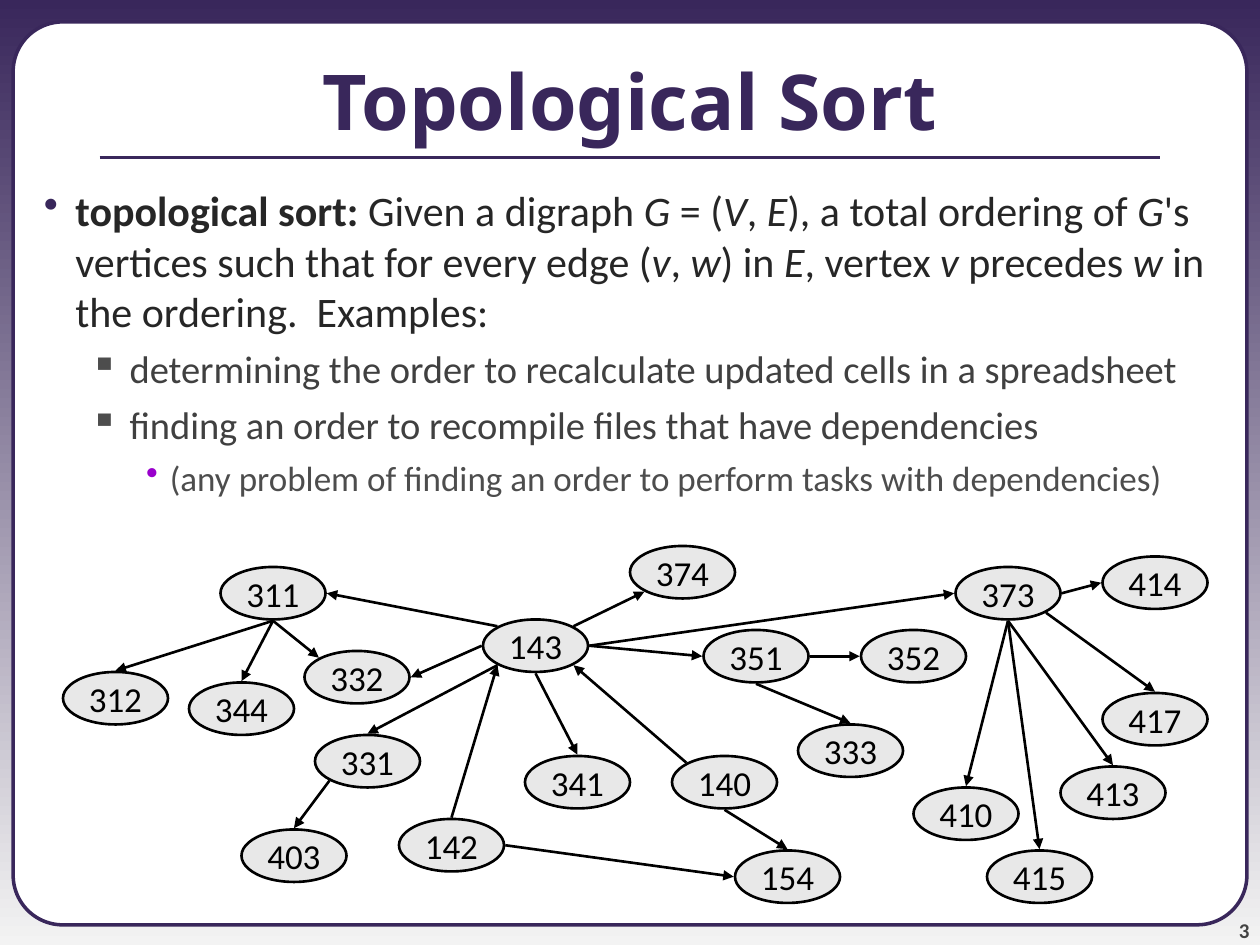
import pptx
import pptx.util
import pptx.dml.color
import pptx.enum.shapes
import pptx.enum.text
import pptx.oxml.ns
from lxml import etree

Pt = pptx.util.Pt
SHAPE = pptx.enum.shapes.MSO_SHAPE
LINE = pptx.enum.shapes.MSO_CONNECTOR.STRAIGHT
ALIGN = pptx.enum.text.PP_ALIGN
ANCHOR = pptx.enum.text.MSO_ANCHOR

COLORS = {
    "plum": "39275B", "mist": "F3F3F3", "white": "FFFFFF", "black": "000000",
    "node": "E8E8E8", "body": "262626", "sub": "404040", "deep": "4D4D4D",
    "violet": "9900CC", "page": "424242",
}

TITLE = "Topological Sort"
PAGE = "3"

# Runs are (text, style), where style is "b", "i" or "".
DEFINE = [
    ("topological sort:", "b"), (" Given a digraph ", ""), ("G", "i"),
    (" = (", ""), ("V", "i"), (", ", ""), ("E", "i"),
    ("), a total ordering of ", ""), ("G", "i"),
    ("'s vertices such that for every edge (", ""), ("v", "i"), (", ", ""),
    ("w", "i"), (") in ", ""), ("E", "i"), (", vertex ", ""), ("v", "i"),
    (" precedes ", ""), ("w", "i"), (" in the ordering.  Examples:", ""),
]
BODY = [
    (0, DEFINE),
    (1, "determining the order to recalculate updated cells in a spreadsheet"),
    (1, "finding an order to recompile files that have dependencies"),
    (2, "(any problem of finding an order to perform tasks with dependencies)"),
]
LEVELS = [
    dict(size=24, color="body", bullet=("•", "plum", 36, -18)),
    dict(size=22, color="sub", before=5.5, bullet=("▪", "deep", 67, -22.5)),
    dict(size=20, color="deep", before=5, bullet=("•", "violet", 90, -13.5)),
]

# Left and top of each course
NODES = {
    "142": (228, 468), "143": (276, 354), "154": (420, 486), "140": (384, 432),
    "311": (126, 324), "312": (36, 384), "331": (180, 420), "351": (402, 360),
    "333": (456, 414), "341": (300, 432), "344": (108, 390), "403": (138, 474),
    "352": (492, 360), "373": (546, 324), "410": (522, 450), "332": (174, 372),
    "374": (360, 312), "415": (564, 486), "413": (606, 438), "417": (630, 396),
    "414": (630, 318),
}
# From, side it leaves, to, side it meets
EDGES = [
    ("142", "n", "143", "sw"), ("142", "e", "154", "w"),
    ("140", "nw", "143", "se"), ("140", "s", "154", "n"),
    ("143", "nw", "311", "e"), ("143", "sw", "331", "n"),
    ("143", "w", "332", "e"), ("143", "s", "341", "n"),
    ("143", "e", "351", "w"), ("143", "e", "373", "w"),
    ("143", "ne", "374", "sw"), ("311", "s", "312", "n"),
    ("311", "s", "344", "n"), ("311", "s", "332", "nw"),
    ("331", "sw", "403", "n"), ("351", "e", "352", "w"),
    ("351", "s", "333", "n"), ("373", "s", "410", "n"),
    ("373", "s", "415", "n"), ("373", "s", "413", "n"),
    ("373", "e", "414", "w"), ("373", "se", "417", "n"),
]
WIDE, HIGH, GAP = 60, 30, 0.75


def rgb(name):
    return pptx.dml.color.RGBColor.from_string(COLORS[name])


def add_xml(node, tag, **attrs):
    return etree.SubElement(node, pptx.oxml.ns.qn(tag), attrs)


def put_text(para, text, size=20, font="Calibri", color="black", bold=False,
             align=None, before=None, bullet=None):
    if bullet:
        mark, tint, left, hang = bullet
        props = para._p.get_or_add_pPr()
        props.set("marL", str(Pt(left)))
        props.set("indent", str(Pt(hang)))
        add_xml(add_xml(props, "a:buClr"), "a:srgbClr", val=COLORS[tint])
        add_xml(props, "a:buChar", char=mark)
    if align is not None:
        para.alignment = align
    if before is not None:
        para.space_before = Pt(before)
    runs = [(text, "b" if bold else "")] if isinstance(text, str) else text
    for words, style in runs:
        run = para.add_run()
        run.text = words
        run.font.name, run.font.size = font, Pt(size)
        run.font.color.rgb = rgb(color)
        run.font.bold, run.font.italic = style == "b", style == "i"


def add_box(left, top, width, height, anchor, inset=(7.2, 3.6)):
    box = slide.shapes.add_textbox(Pt(left), Pt(top), Pt(width), Pt(height))
    frame = box.text_frame
    frame.word_wrap, frame.vertical_anchor = True, anchor
    frame.margin_left = frame.margin_right = Pt(inset[0])
    frame.margin_top = frame.margin_bottom = Pt(inset[1])
    return frame


def add_shape(shapes, kind, left, top, width, height, fill, line, weight):
    shape = shapes.add_shape(kind, Pt(left), Pt(top), Pt(width), Pt(height))
    shape.shadow.inherit = False
    shape.fill.solid()
    shape.fill.fore_color.rgb = rgb(fill)
    shape.line.color.rgb = rgb(line)
    shape.line.width = Pt(weight)
    return shape


def add_line(shapes, start, end, color, weight, arrow=False):
    line = shapes.add_connector(LINE, *(Pt(v) for v in (*start, *end)))
    line.line.color.rgb = rgb(color)
    line.line.width = Pt(weight)
    if arrow:
        add_xml(line.line._get_or_add_ln(), "a:tailEnd", type="triangle")
    add_xml(line._element.spPr, "a:effectLst")


def find_site(name, side):
    """Point just outside the ellipse, toward a compass side."""
    left, top = NODES[name]
    across = ("e" in side) - ("w" in side)
    down = ("s" in side) - ("n" in side)
    scale = 0.5 ** 0.5 if across and down else 1
    return (left + WIDE / 2 + across * scale * (WIDE / 2 + GAP),
            top + HIGH / 2 + down * scale * (HIGH / 2 + GAP))


deck = pptx.Presentation()
deck.slide_width, deck.slide_height = Pt(720), Pt(540)
slide = deck.slides.add_slide(deck.slide_layouts[6])

back = slide.background.fill
back.gradient()
back.gradient_angle = 270
for stop, name in zip(back.gradient_stops, ("plum", "mist")):
    stop.color.rgb = rgb(name)

panel = add_shape(slide.shapes, SHAPE.ROUNDED_RECTANGLE, 7.5, 12.5, 705, 516,
                  "white", "plum", 2)
panel.adjustments[0] = 0.055
add_line(slide.shapes, (57, 90), (663, 90), "plum", 2.25)

page = add_box(654, 510, 60, 28.5, ANCHOR.BOTTOM, inset=(0, 0))
put_text(page.paragraphs[0], PAGE, size=12, color="page", bold=True,
         align=ALIGN.RIGHT)
title = add_box(0, 12, 720, 90, ANCHOR.MIDDLE)
put_text(title.paragraphs[0], TITLE, size=44, font="Noto Sans", color="plum",
         bold=True, align=ALIGN.CENTER)

body = add_box(0, 102, 720, 438, ANCHOR.TOP)
for i, (level, text) in enumerate(BODY):
    para = body.add_paragraph() if i else body.paragraphs[0]
    para.level = level
    put_text(para, text, **LEVELS[level])

graph = slide.shapes.add_group_shape().shapes
for name, (left, top) in NODES.items():
    node = add_shape(graph, SHAPE.OVAL, left, top, WIDE, HIGH,
                     "node", "black", 1.5)
    node.text_frame.word_wrap = False
    node.text_frame.vertical_anchor = ANCHOR.MIDDLE
    put_text(node.text_frame.paragraphs[0], name, align=ALIGN.CENTER)
for tail, leave, head, meet in EDGES:
    add_line(graph, find_site(tail, leave), find_site(head, meet),
             "black", 1.5, arrow=True)

deck.save("out.pptx")
